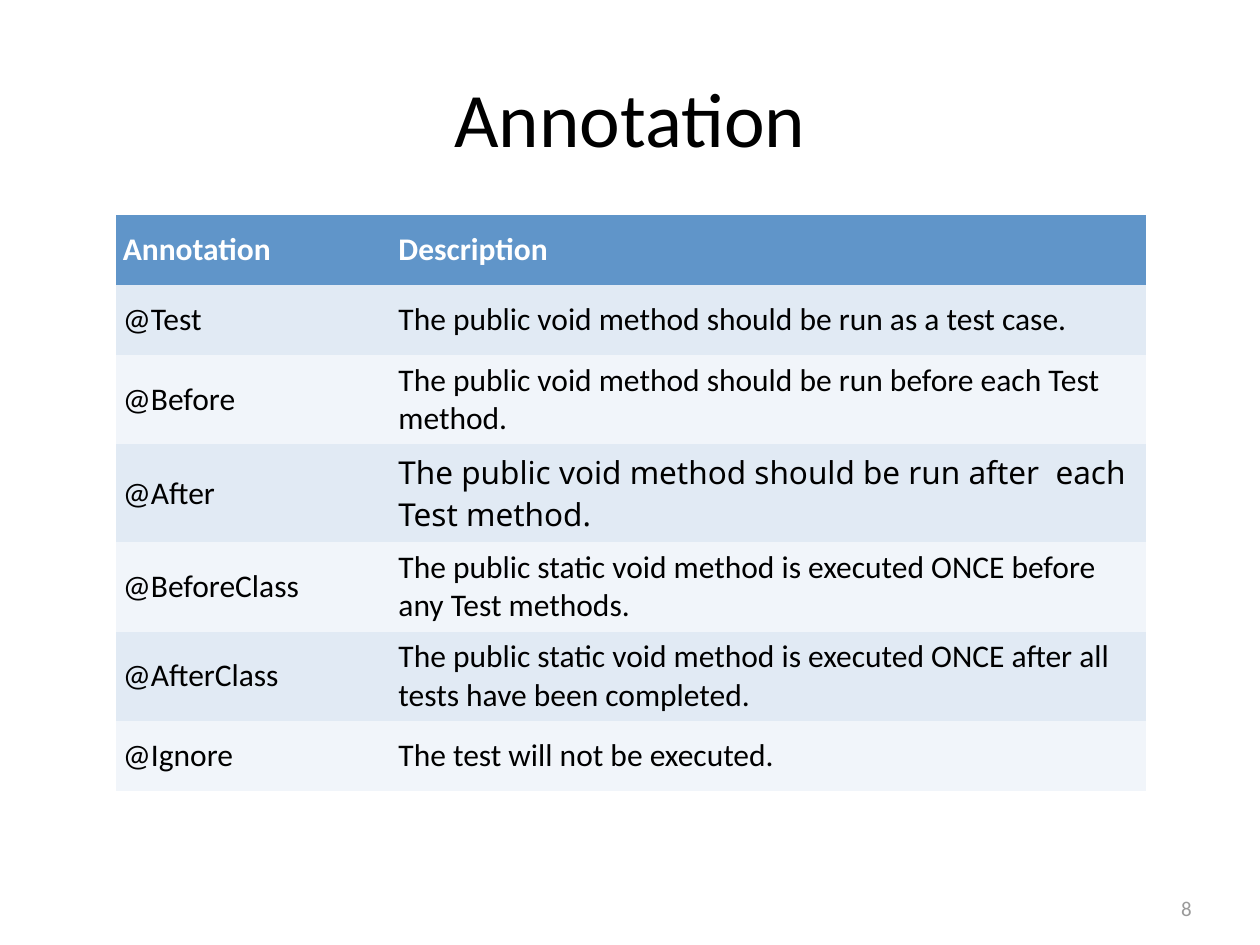
from dataclasses import dataclass

from pptx import Presentation
from pptx.dml import color
from pptx.enum import text
from pptx.oxml import ns
from pptx.util import Pt


@dataclass(frozen=True)
class Theme:
    font: str = "Calibri"
    alternate_font: str = "Noto Sans"
    title_size: int = 44
    table_size: int = 18
    number_size: int = 12
    ink: str = "000000"
    header_ink: str = "FFFFFF"
    number_ink: str = "9A9A9A"
    header_fill: str = "6095C9"
    band_fills: tuple = ("E1EAF4", "F1F5FA")
    no_grid_style: str = "{2D5ABB26-0587-4C30-8999-92F81FD0307C}"


ROWS = [
    ("Annotation", "Description"),
    ("@Test", "The public void method should be run as a test case."),
    ("@Before", "The public void method should be run before each Test method."),
    ("@After", "The public void method should be run after  each Test method."),
    ("@BeforeClass", "The public static void method is executed ONCE before any Test methods."),
    ("@AfterClass", "The public static void method is executed ONCE after all tests have been completed."),
    ("@Ignore", "The test will not be executed."),
]
COLUMN_WIDTHS = (157.5, 431)
ONE_LINE, TWO_LINES = 40, 51
ROW_HEIGHTS = [ONE_LINE] * 2 + [TWO_LINES] * 4 + [ONE_LINE]
ALTERNATE_FONT_CELL = (3, 1)


class SlideBuilder:
    def __init__(self, slide, theme):
        self.slide = slide
        self.theme = theme

    def style(self, paragraph, size, ink, align=text.PP_ALIGN.LEFT, bold=False, font=None):
        paragraph.alignment = align
        paragraph.font.name = font or self.theme.font
        paragraph.font.size = Pt(size)
        paragraph.font.bold = bold
        paragraph.font.color.rgb = color.RGBColor.from_string(ink)

    def frame(self, shape, wording, size, ink, align):
        """Fill a shape with one vertically centred paragraph."""
        frame = shape.text_frame
        frame.text = wording
        frame.word_wrap = True
        frame.auto_size = text.MSO_AUTO_SIZE.NONE
        frame.vertical_anchor = text.MSO_ANCHOR.MIDDLE
        frame.margin_left = frame.margin_right = Pt(3)
        frame.margin_top = frame.margin_bottom = Pt(3)
        self.style(frame.paragraphs[0], size, ink, align)

    def title(self, wording, left, top, width, height):
        shape = self.slide.shapes.title
        shape.left, shape.top = Pt(left), Pt(top)
        shape.width, shape.height = Pt(width), Pt(height)
        self.frame(shape, wording, self.theme.title_size, self.theme.ink, text.PP_ALIGN.CENTER)

    def page_number(self, number, left, top, width, height):
        right, bottom = left + width, top + height
        outline = self.slide.shapes.build_freeform(Pt(left), Pt(top))
        outline.add_line_segments(
            [(Pt(x), Pt(y)) for x, y in ((right, top), (right, bottom), (left, bottom))])
        shape = outline.convert_to_shape()
        shape.shadow.inherit = False
        shape.fill.background()
        shape.line.fill.background()
        self.frame(shape, str(number), self.theme.number_size, self.theme.number_ink,
                   text.PP_ALIGN.RIGHT)

    def table(self, rows, left, top, widths, heights):
        table = self.slide.shapes.add_table(
            len(rows), len(widths), Pt(left), Pt(top), Pt(sum(widths)), Pt(sum(heights))).table
        table.horz_banding = False
        table._tbl.tblPr.find(ns.qn("a:tableStyleId")).text = self.theme.no_grid_style
        for column, width in zip(table.columns, widths):
            column.width = Pt(width)
        for row_index, (row, height) in enumerate(zip(rows, heights)):
            table.rows[row_index].height = Pt(height)
            for column_index, wording in enumerate(row):
                alternate = (row_index, column_index) == ALTERNATE_FONT_CELL
                self.cell(table.cell(row_index, column_index), wording, row_index,
                          self.theme.alternate_font if alternate else self.theme.font)

    def cell(self, cell, wording, row_index, font):
        theme = self.theme
        header = row_index == 0
        fill = theme.header_fill if header else theme.band_fills[(row_index - 1) % 2]
        cell.fill.solid()
        cell.fill.fore_color.rgb = color.RGBColor.from_string(fill)
        cell.vertical_anchor = text.MSO_ANCHOR.MIDDLE
        cell.margin_left = cell.margin_right = Pt(4)
        cell.margin_top = cell.margin_bottom = Pt(3.5)
        cell.text = wording
        self.style(cell.text_frame.paragraphs[0], theme.table_size,
                   theme.header_ink if header else theme.ink, bold=header, font=font)


def main():
    presentation = Presentation()
    presentation.slide_width, presentation.slide_height = Pt(720), Pt(540)
    slide = presentation.slides.add_slide(presentation.slide_layouts[5])
    builder = SlideBuilder(slide, Theme())
    builder.title("Annotation", 36, 21.6, 648, 90)
    builder.page_number(8, 669.6, 508.5, 14.4, 21)
    builder.table(ROWS, 66.2, 122.9, COLUMN_WIDTHS, ROW_HEIGHTS)
    presentation.save("out.pptx")


if __name__ == "__main__":
    main()
